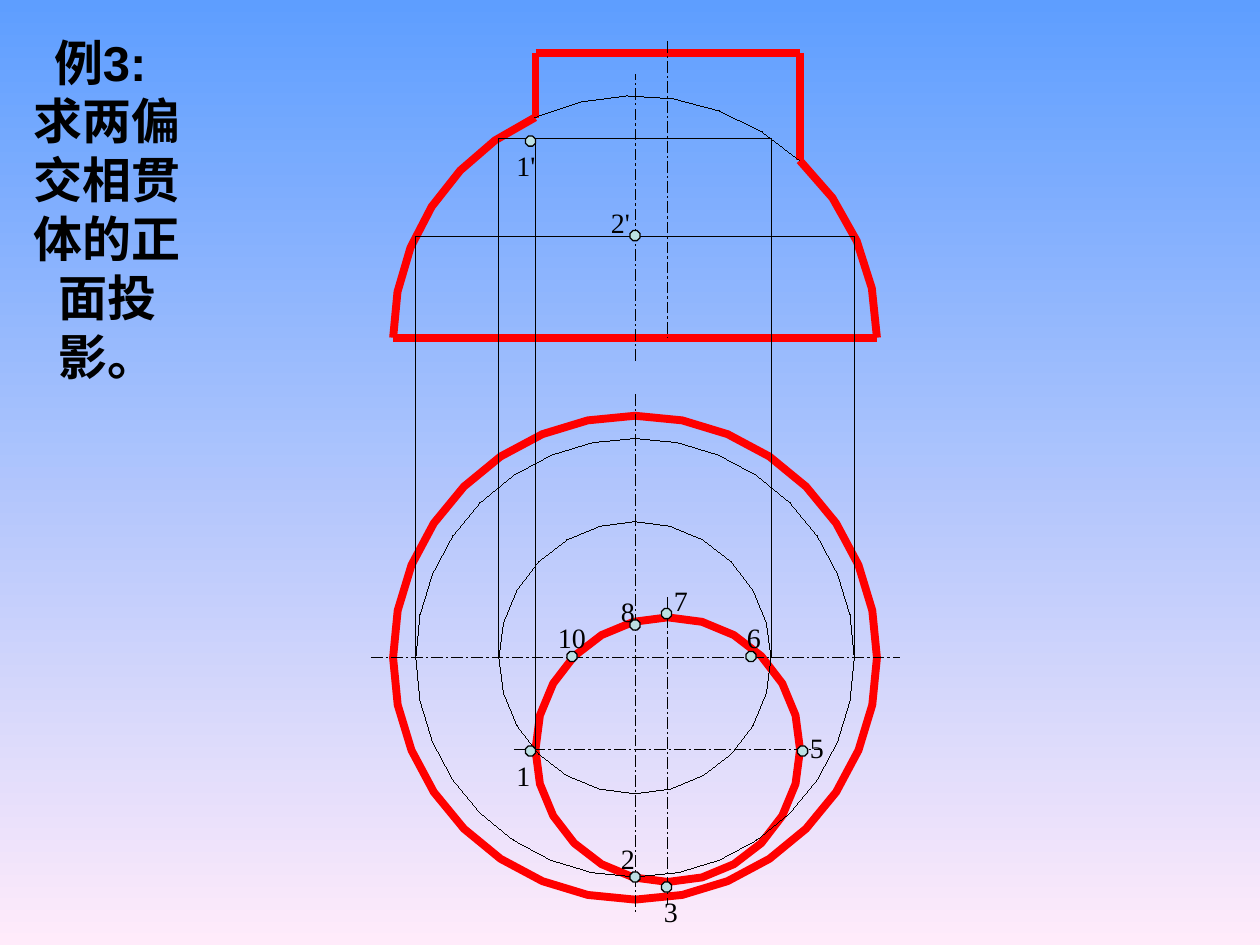
"""Build a slide on the front projection of two offset intersecting solids."""
import math

import pptx
import pptx.dml.color
import pptx.enum.dml
import pptx.enum.shapes
import pptx.enum.text
import pptx.oxml
import pptx.util

BLACK = pptx.dml.color.RGBColor(0x00, 0x00, 0x00)
RED = pptx.dml.color.RGBColor(0xFF, 0x00, 0x00)
MARKER_FILL = pptx.dml.color.RGBColor(0xBB, 0xE0, 0xE3)
SKY = pptx.dml.color.RGBColor(0x5E, 0x9E, 0xFF)
BLUSH = pptx.dml.color.RGBColor(0xFF, 0xEB, 0xFA)

TITLE = "例3: \v求两偏交相贯体的正面投影。"
TITLE_BOX = (0, 0.31, 1.7, 2.69)

DOME_X, PLAN_Y, BASE_Y, DOME_R = 5.04, 5.22, 2.68, 1.92
CYLINDER_X, CYLINDER_Y, CYLINDER_R = 5.3, 5.95, 1.05
CYLINDER_TOP = 0.42
LEFT, RIGHT = CYLINDER_X - CYLINDER_R, CYLINDER_X + CYLINDER_R
LEFT_JOIN, RIGHT_JOIN = 0.94, 1.27

SECTIONS = [(1.08, 1.1, 24), (1.74, 1.88, 32)]

AXES = [
    (DOME_X, 3.13, DOME_X, 7.25),
    (2.95, PLAN_Y, 7.14, PLAN_Y),
    (4.08, CYLINDER_Y, 6.52, CYLINDER_Y),
    (CYLINDER_X, 4.74, CYLINDER_X, 7.17),
    (DOME_X, 2.86, DOME_X, 0.59),
    (CYLINDER_X, 0.33, CYLINDER_X, BASE_Y),
]
OUTLINE = [
    (DOME_X - DOME_R, BASE_Y, DOME_X + DOME_R, BASE_Y),
    (LEFT, LEFT_JOIN, LEFT, CYLINDER_TOP),
    (LEFT, CYLINDER_TOP, RIGHT, CYLINDER_TOP),
    (RIGHT, CYLINDER_TOP, RIGHT, RIGHT_JOIN),
]

MARKER_SIZE = 0.08
POINTS = [
    ("1", (4.17, 5.92), (4, 5.97), 0.42),
    ("2", (5, 6.92), (4.83, 6.63), 0.42),
    ("3", (5.25, 7), (5.17, 7.05), 0.42),
    ("5", (6.33, 5.92), (6.33, 5.75), 0.42),
    ("6", (5.92, 5.17), (5.83, 4.88), 0.42),
    ("7", (5.25, 4.83), (5.25, 4.58), 0.42),
    ("8", (5, 4.92), (4.83, 4.67), 0.42),
    ("10", (4.5, 5.17), (4.33, 4.88), 0.5),
    ("1'", (4.17, 1.08), (4, 1.13), 0.42),
    ("2'", (5, 1.83), (4.75, 1.58), 0.5),
]
LABEL_HEIGHT = 0.37
THICK, HAIRLINE = 4.5, 0.01


def inches(values):
    return [pptx.util.Inches(value) for value in values]


def style_line(line, color, width):
    line.color.rgb = color
    line.width = pptx.util.Pt(width)


def add_line(slide, ends, color=BLACK, width=HAIRLINE, dash=None):
    line = slide.shapes.add_connector(
        pptx.enum.shapes.MSO_CONNECTOR.STRAIGHT, *inches(ends))
    style_line(line.line, color, width)
    if dash:
        line.line.dash_style = dash
    line._element.spPr.append(pptx.oxml.parse_xml(
        '<a:effectLst xmlns:a="http://schemas.openxmlformats.org/drawingml/2006/main"/>'))


def add_arc(slide, center, radius, steps, color, width, start=0, end=360):
    angles = [math.radians(start + (end - start) * i / steps) for i in range(steps + 1)]
    first, *rest = [inches((center[0] + radius * math.cos(angle),
                            center[1] - radius * math.sin(angle))) for angle in angles]
    builder = slide.shapes.build_freeform(*first)
    builder.add_line_segments(rest, close=end - start == 360)
    arc = builder.convert_to_shape()
    arc.shadow.inherit = False
    arc.fill.background()
    style_line(arc.line, color, width)


def add_text(slide, box, text, font_name, size, bold=False):
    frame = slide.shapes.add_textbox(*inches(box)).text_frame
    frame.word_wrap = True
    paragraph = frame.paragraphs[0]
    paragraph.text = text
    paragraph.font.name = font_name
    paragraph.font.size = pptx.util.Pt(size)
    paragraph.font.bold = bold
    paragraph.font.color.rgb = BLACK
    return frame


def add_title(slide):
    frame = add_text(slide, TITLE_BOX, TITLE, "Arial", 28, bold=True)
    frame.vertical_anchor = pptx.enum.text.MSO_ANCHOR.MIDDLE
    paragraph = frame.paragraphs[0]
    paragraph.alignment = pptx.enum.text.PP_ALIGN.CENTER
    paragraph._p.get_or_add_pPr().set("hangingPunct", "0")


def add_marker(slide, corner):
    marker = slide.shapes.add_shape(
        pptx.enum.shapes.MSO_SHAPE.OCTAGON, *inches((*corner, MARKER_SIZE, MARKER_SIZE)))
    marker.shadow.inherit = False
    marker.fill.solid()
    marker.fill.fore_color.rgb = MARKER_FILL
    style_line(marker.line, BLACK, 0.75)


def paint_background(slide):
    fill = slide.background.fill
    fill.gradient()
    fill.gradient_angle = 270
    for stop, color, position in zip(fill.gradient_stops, (SKY, BLUSH), (0, 1)):
        stop.color.rgb = color
        stop.position = position


def draw_projections(slide):
    plan_center, front_center = (DOME_X, PLAN_Y), (DOME_X, BASE_Y)
    right_angle = math.degrees(math.atan2(BASE_Y - RIGHT_JOIN, RIGHT - DOME_X))
    left_angle = math.degrees(math.atan2(BASE_Y - LEFT_JOIN, LEFT - DOME_X))

    for ends in OUTLINE:
        add_line(slide, ends, RED, THICK)
    add_arc(slide, (CYLINDER_X, CYLINDER_Y), CYLINDER_R, 24, RED, THICK)
    add_arc(slide, plan_center, DOME_R, 32, RED, THICK)
    add_arc(slide, front_center, DOME_R, 4, RED, THICK, 0, right_angle)
    add_arc(slide, front_center, DOME_R, 6, RED, THICK, left_angle, 180)
    add_arc(slide, front_center, DOME_R, 6, BLACK, HAIRLINE, right_angle, left_angle)

    for ends in AXES:
        add_line(slide, ends, dash=pptx.enum.dml.MSO_LINE.LONG_DASH_DOT)
    for radius, height, steps in SECTIONS:
        west, east = DOME_X - radius, DOME_X + radius
        add_arc(slide, plan_center, radius, steps, BLACK, HAIRLINE)
        add_line(slide, (west, PLAN_Y, west, height))
        add_line(slide, (west, height, east, height))
        add_line(slide, (east, height, east, PLAN_Y))
    add_line(slide, (LEFT, CYLINDER_Y, LEFT, SECTIONS[0][1]))


def main():
    deck = pptx.Presentation()
    deck.slide_width, deck.slide_height = inches((10, 7.5))
    slide = deck.slides.add_slide(deck.slide_layouts[6])
    paint_background(slide)
    draw_projections(slide)
    for name, corner, label_corner, label_width in POINTS:
        add_marker(slide, corner)
        add_text(slide, (*label_corner, label_width, LABEL_HEIGHT), name,
                 "Times New Roman", 16)
    add_title(slide)
    deck.save("out.pptx")


if __name__ == "__main__":
    main()
